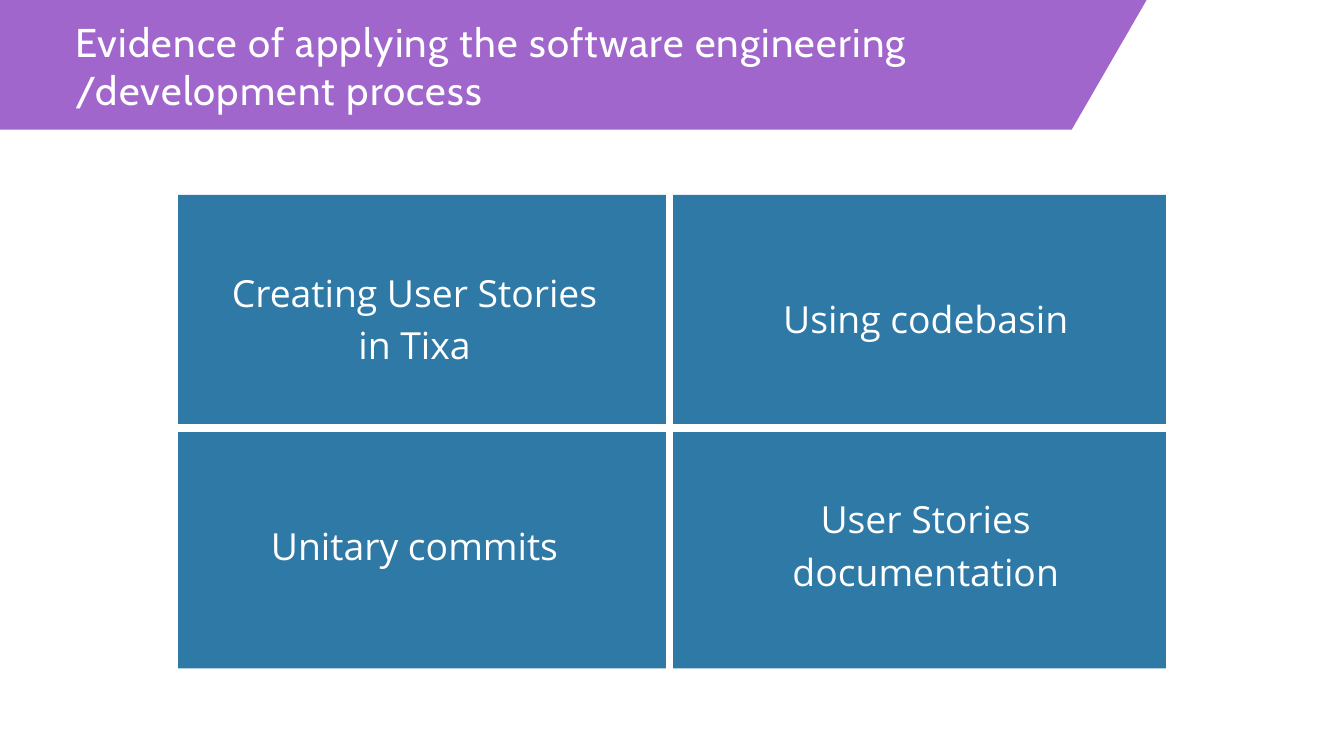
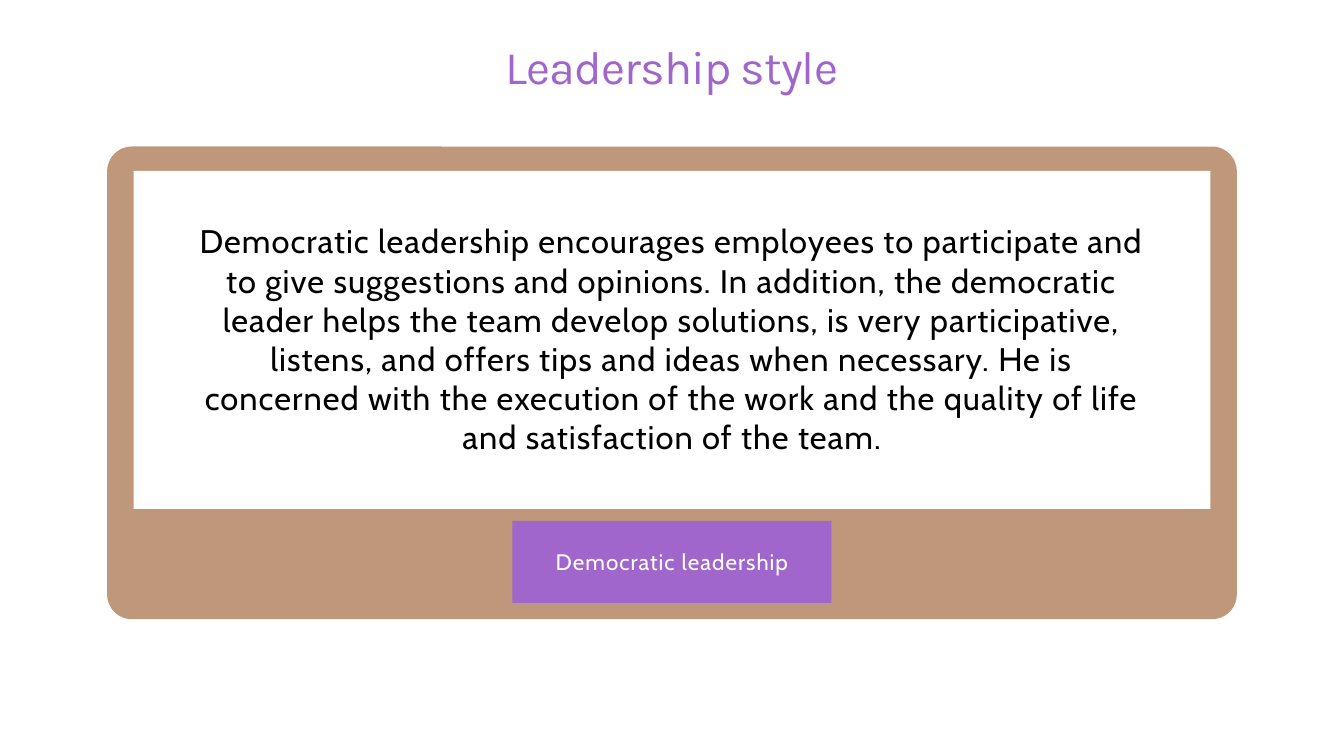
from itertools import product
from lxml.etree import SubElement
from pptx import Presentation
from pptx.dml.color import RGBColor
from pptx.enum.shapes import MSO_CONNECTOR, MSO_SHAPE
from pptx.enum.text import MSO_ANCHOR, MSO_AUTO_SIZE, PP_ALIGN
from pptx.oxml.ns import qn
from pptx.util import Cm, Pt

SLIDE_WIDTH, SLIDE_HEIGHT = 50.8, 28.58
PURPLE, BLUE, TAN = "A066CB", "0F6699", "BF977B"
WHITE, BLACK = "FFFFFF", "000000"
TITLE_ONLY, TITLE_AND_BODY = 5, 1

BANNER_TITLE = {"name": "Cabin", "size": 43, "color": WHITE, "leading": 51.6,
                "tracking": 130, "align": PP_ALIGN.LEFT}
PLAIN_TITLE = {"name": "Karla", "size": 50, "color": PURPLE, "leading": 70, "tracking": -100}
CELL_TEXT = {"name": "Open Sans", "size": 40, "color": WHITE, "leading": 56,
             "anchor": MSO_ANCHOR.MIDDLE}
BODY_TEXT = {"name": "Cabin", "size": 35, "color": BLACK, "leading": 42, "tracking": 110}
LABEL_TEXT = {"name": "Cabin", "size": 24, "color": WHITE, "tracking": 110,
              "anchor": MSO_ANCHOR.MIDDLE}


def color(hex_code):
    """Turn a hex string into a colour."""
    return RGBColor.from_string(hex_code)


def place(shape, box):
    """Move a shape to a box given in centimetres."""
    for name, value in zip(("left", "top", "width", "height"), box):
        setattr(shape, name, Cm(value))


def write(shape, text, style):
    """Put one formatted paragraph into a shape."""
    frame = shape.text_frame
    frame_format = {"word_wrap": True, "auto_size": MSO_AUTO_SIZE.NONE,
                    "vertical_anchor": style.get("anchor", MSO_ANCHOR.TOP),
                    "margin_left": 0, "margin_top": 0, "margin_right": 0, "margin_bottom": 0}
    for name, value in frame_format.items():
        setattr(frame, name, value)
    paragraph = frame.paragraphs[0]
    properties = paragraph._p.get_or_add_pPr()
    for name in ("marL", "indent"):
        properties.set(name, "0")
    SubElement(properties, qn("a:buNone"))
    paragraph_format = {"alignment": style.get("align", PP_ALIGN.CENTER), "space_before": Pt(0),
                        "line_spacing": Pt(style["leading"]) if "leading" in style else 1.0}
    for name, value in paragraph_format.items():
        setattr(paragraph, name, value)
    run = paragraph.add_run()
    run.text = text
    for name, value in {"name": style["name"], "size": Pt(style["size"])}.items():
        setattr(run.font, name, value)
    run.font.color.rgb = color(style["color"])
    run._r.get_or_add_rPr().set("spc", str(style.get("tracking", 0)))


def paint(shape, fill):
    """Give a shape a flat fill without line or shadow."""
    shape.shadow.inherit = False
    shape.fill.solid()
    shape.fill.fore_color.rgb = color(fill)
    shape.line.fill.background()


def add_block(slide, box, fill, kind=MSO_SHAPE.RECTANGLE):
    """Add a flat preset shape."""
    block = slide.shapes.add_shape(kind, *map(Cm, box))
    paint(block, fill)
    return block


def add_divider(slide, start, end):
    """Add a thick white line between two points."""
    line = slide.shapes.add_connector(MSO_CONNECTOR.STRAIGHT, *map(Cm, start + end))
    line.line.width = Pt(7.5)
    line.line.color.rgb = color(WHITE)
    SubElement(line._element.spPr, qn("a:effectLst"))


def fill_placeholder(slide, placeholder, box, text, style):
    """Place and fill a placeholder in front of the shapes drawn so far."""
    place(placeholder, box)
    write(placeholder, text, style)
    slide.shapes.element.append(placeholder.element)


def add_banner(slide, box, slant, title):
    """Draw the slanted title band with the slide title in it."""
    left, top, width, height = box
    right, bottom = left + width, top + height
    corners = [(right, top), (right - slant, bottom), (left, bottom)]
    outline = slide.shapes.build_freeform(Cm(left), Cm(top))
    outline.add_line_segments([(Cm(x), Cm(y)) for x, y in corners], close=True)
    paint(outline.convert_to_shape(), PURPLE)
    title_box = (left + 2.84, top + 0.66, 34.47, 3.6)
    fill_placeholder(slide, slide.shapes.title, title_box, title, BANNER_TITLE)


def add_quadrants(slide, box, labels):
    """Draw a blue panel split in four, with a label in each part."""
    left, top, width, height = box
    panel = add_block(slide, box, BLUE)
    panel_color = panel._element.spPr.find(qn("a:solidFill"))[0]
    SubElement(panel_color, qn("a:alpha")).set("val", "87000")
    middle_x, middle_y, overhang = left + 18.59, top + 8.81, 1.2
    add_divider(slide, (middle_x, top - overhang), (middle_x, top + height + overhang))
    add_divider(slide, (left - overhang, middle_y), (left + width + overhang, middle_y))
    label_width, label_height = 14.38, 3.86
    centres = product((top + 4.54, top + 13.1), (left + 8.94, left + 28.26))
    for (centre_y, centre_x), label in zip(centres, labels):
        label_box = (centre_x - label_width / 2, centre_y - label_height / 2,
                     label_width, label_height)
        write(slide.shapes.add_textbox(*map(Cm, label_box)), label, CELL_TEXT)


def add_framed_text(slide, box, text, label):
    """Draw a rounded frame with a white text field and a label below it."""
    left, top, width, height = box
    radius, base_height, back_height = 0.94, 9.8, 14.58
    for part_top, part_height in ((top + height - base_height, base_height), (top, back_height)):
        part = add_block(slide, (left, part_top, width, part_height), TAN,
                         MSO_SHAPE.ROUNDED_RECTANGLE)
        part.adjustments[0] = radius / part_height
    add_block(slide, (left + 1, top + 0.92, width - 2, 12.78), WHITE)
    label_width = 12.06
    label_box = (left + (width - label_width) / 2, top + 14.15, label_width, 3.1)
    write(add_block(slide, label_box, PURPLE), label, LABEL_TEXT)
    text_box = (left + 3.18, top + 2.82, width - 6.36, 8.92)
    fill_placeholder(slide, slide.placeholders[1], text_box, text, BODY_TEXT)


def build_process_slide(presentation):
    """Build the slide on the development process."""
    slide = presentation.slides.add_slide(presentation.slide_layouts[TITLE_ONLY])
    add_banner(slide, (0, 0, 43.34, 4.9), 2.83,
               "Evidence of applying the software engineering /development process")
    add_quadrants(slide, (6.73, 7.37, 37.34, 17.9),
                  ("Creating User Stories in Tixa", "Using codebasin",
                   "Unitary commits", "User Stories documentation"))


def build_leadership_slide(presentation):
    """Build the slide on the leadership style."""
    slide = presentation.slides.add_slide(presentation.slide_layouts[TITLE_AND_BODY])
    fill_placeholder(slide, slide.shapes.title, (0, 1.09, SLIDE_WIDTH, 2.39),
                     "Leadership style", PLAIN_TITLE)
    add_framed_text(
        slide, (4.05, 5.54, 42.7, 17.87),
        "Democratic leadership encourages employees to participate and to give suggestions and "
        "opinions. In addition, the democratic leader helps the team develop solutions, is very "
        "participative, listens, and offers tips and ideas when necessary. He is concerned with "
        "the execution of the work and the quality of life and satisfaction of the team.",
        "Democratic leadership")


def main():
    """Build and save the presentation."""
    presentation = Presentation()
    presentation.slide_width, presentation.slide_height = Cm(SLIDE_WIDTH), Cm(SLIDE_HEIGHT)
    build_process_slide(presentation)
    build_leadership_slide(presentation)
    presentation.save("out.pptx")


if __name__ == "__main__":
    main()
